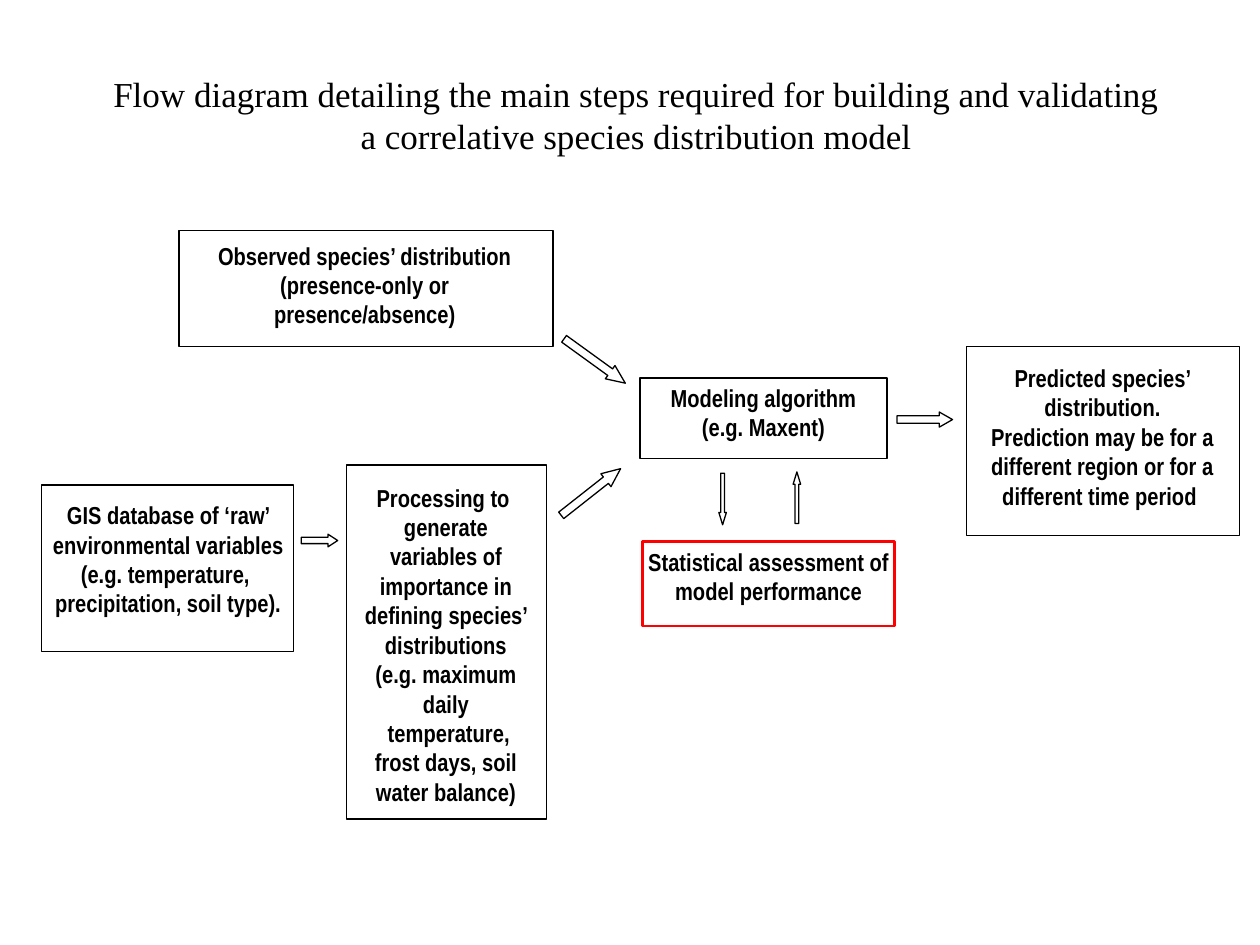
"""Build a flow chart slide of the steps in a species model."""
import dataclasses

import pptx
import pptx.dml.color
import pptx.enum.shapes
import pptx.enum.text
import pptx.util

Inches = pptx.util.Inches
Pt = pptx.util.Pt
Color = pptx.dml.color.RGBColor
Shape = pptx.enum.shapes.MSO_SHAPE
Anchor = pptx.enum.text.MSO_ANCHOR
Align = pptx.enum.text.PP_ALIGN


@dataclasses.dataclass(frozen=True)
class Theme:
    ink: Color = Color(0, 0, 0)
    alert: Color = Color(255, 0, 0)
    head_font: str = "Times New Roman"
    body_font: str = "Arial Narrow"
    head_size: Pt = Pt(20)
    body_size: Pt = Pt(14)
    thin: Pt = Pt(0.75)
    thick: Pt = Pt(1.5)
    inset: Inches = Inches(0.04)


THEME = Theme()

PAIRS = [
    ((2.75, 3.69, 1.59, 2.81), (2.81, 3.79, 1.46, 2.58),
     ["Processing to ",
      "generate variables of importance in defining species’ distributions",
      "(e.g. maximum daily",
      " temperature, frost days, soil water balance)"]),
    ((1.42, 1.83, 2.97, 0.92), (1.46, 1.87, 2.87, 0.86),
     ["Observed species’ distribution",
      "(presence-only or presence/absence)"]),
    ((0.33, 3.85, 2, 1.32), (0.36, 3.93, 1.95, 1.17),
     ["GIS database of ‘raw’ environmental variables (e.g. temperature, ",
      "precipitation, soil type)."]),
    ((7.67, 2.75, 2.17, 1.5), (7.73, 2.84, 2.04, 1.32),
     ["Predicted species’ distribution.",
      "Prediction may be for a different region or for a different time period "]),
]

BOXES = [
    ((5.08, 3, 1.96, 0.64), ["Modeling algorithm", "(e.g. Maxent)"],
     THEME.ink, THEME.thin),
    ((5.1, 4.3, 2, 0.67), ["Statistical assessment of model performance"],
     THEME.alert, THEME.thick),
]

ARROWS = [
    ((2.39, 4.24, 0.29, 0.1), 0.768, 0),
    ((4.39, 3.84, 0.6, 0.13), 1.141, 321.8),
    ((6.12, 3.92, 0.41, 0.06), 1.632, 270),
    ((5.53, 3.93, 0.41, 0.06), 1.632, 90),
    ((7.12, 3.27, 0.44, 0.12), 0.875, 0),
    ((4.42, 2.8, 0.6, 0.13), 1.141, 35.9),
]


def write(shape, lines, font, size, bold, anchor=Anchor.TOP):
    frame = shape.text_frame
    frame.word_wrap = True
    frame.vertical_anchor = anchor
    frame.margin_left = frame.margin_right = THEME.inset
    frame.margin_top = frame.margin_bottom = THEME.inset
    for i, line in enumerate(lines):
        para = frame.paragraphs[0] if i == 0 else frame.add_paragraph()
        para.alignment = Align.CENTER
        run = para.add_run()
        run.text = line
        run.font.name = font
        run.font.size = size
        run.font.bold = bold
        run.font.color.rgb = THEME.ink


def write_body(shape, lines):
    write(shape, lines, THEME.body_font, THEME.body_size, True)


def add_shape(shapes, kind, area, color=THEME.ink, width=THEME.thin):
    shape = shapes.add_shape(kind, *map(Inches, area))
    shape.shadow.inherit = False
    shape.fill.background()
    shape.line.color.rgb = color
    shape.line.width = width
    return shape


def add_pair(shapes, border, area, lines):
    group = shapes.add_group_shape()
    write_body(group.shapes.add_textbox(*map(Inches, area)), lines)
    add_shape(group.shapes, Shape.RECTANGLE, border)


def add_box(shapes, area, lines, color, width):
    write_body(add_shape(shapes, Shape.RECTANGLE, area, color, width), lines)


def add_arrow(shapes, area, head, angle):
    arrow = add_shape(shapes, Shape.RIGHT_ARROW, area)
    arrow.adjustments[0] = 0.5
    arrow.adjustments[1] = head
    arrow.rotation = angle


def add_title(shapes, area, text):
    box = shapes.add_textbox(*map(Inches, area))
    write(box, [text], THEME.head_font, THEME.head_size, False, Anchor.MIDDLE)


def main():
    deck = pptx.Presentation()
    deck.slide_width = Inches(10)
    deck.slide_height = Inches(7.5)
    shapes = deck.slides.add_slide(deck.slide_layouts[6]).shapes
    add_title(shapes, (0.83, 0.5, 8.44, 0.81),
              "Flow diagram detailing the main steps required for building "
              "and validating a correlative species distribution model")
    for pair in PAIRS:
        add_pair(shapes, *pair)
    for box in BOXES:
        add_box(shapes, *box)
    for arrow in ARROWS:
        add_arrow(shapes, *arrow)
    deck.save("out.pptx")


if __name__ == "__main__":
    main()
